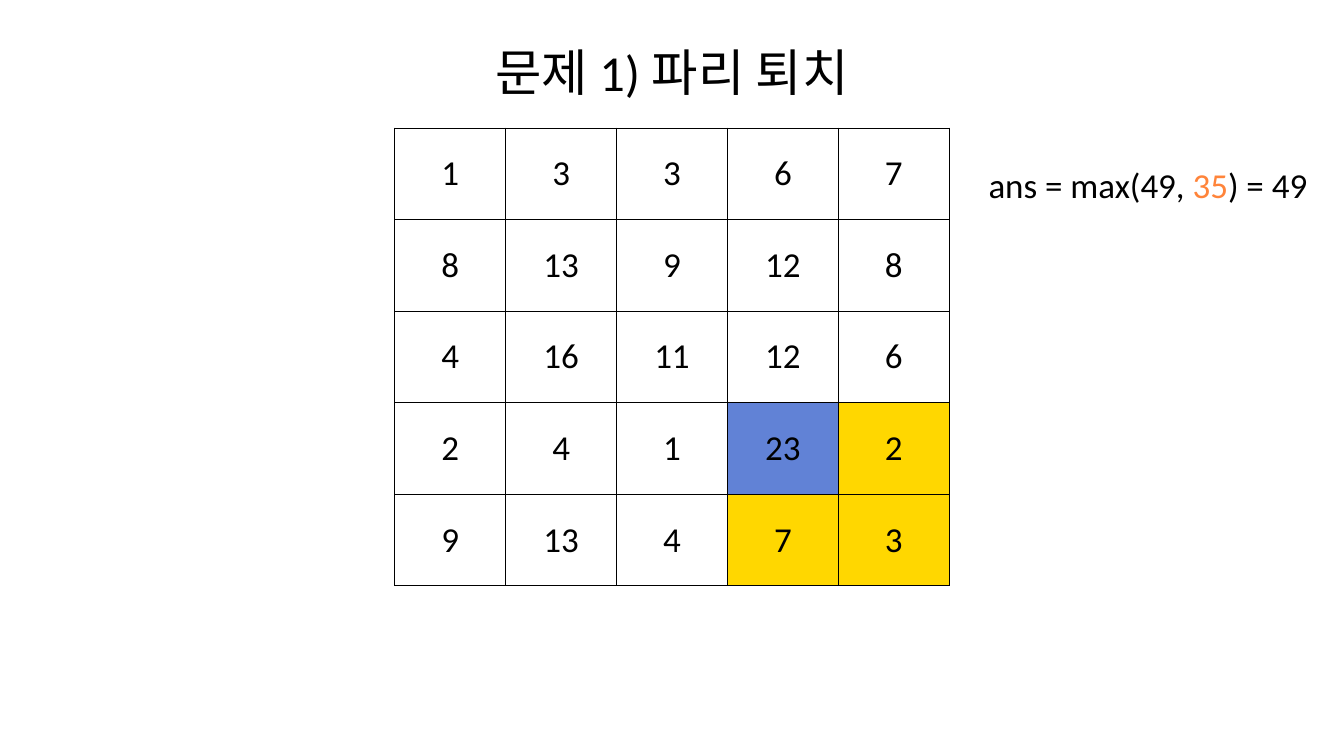
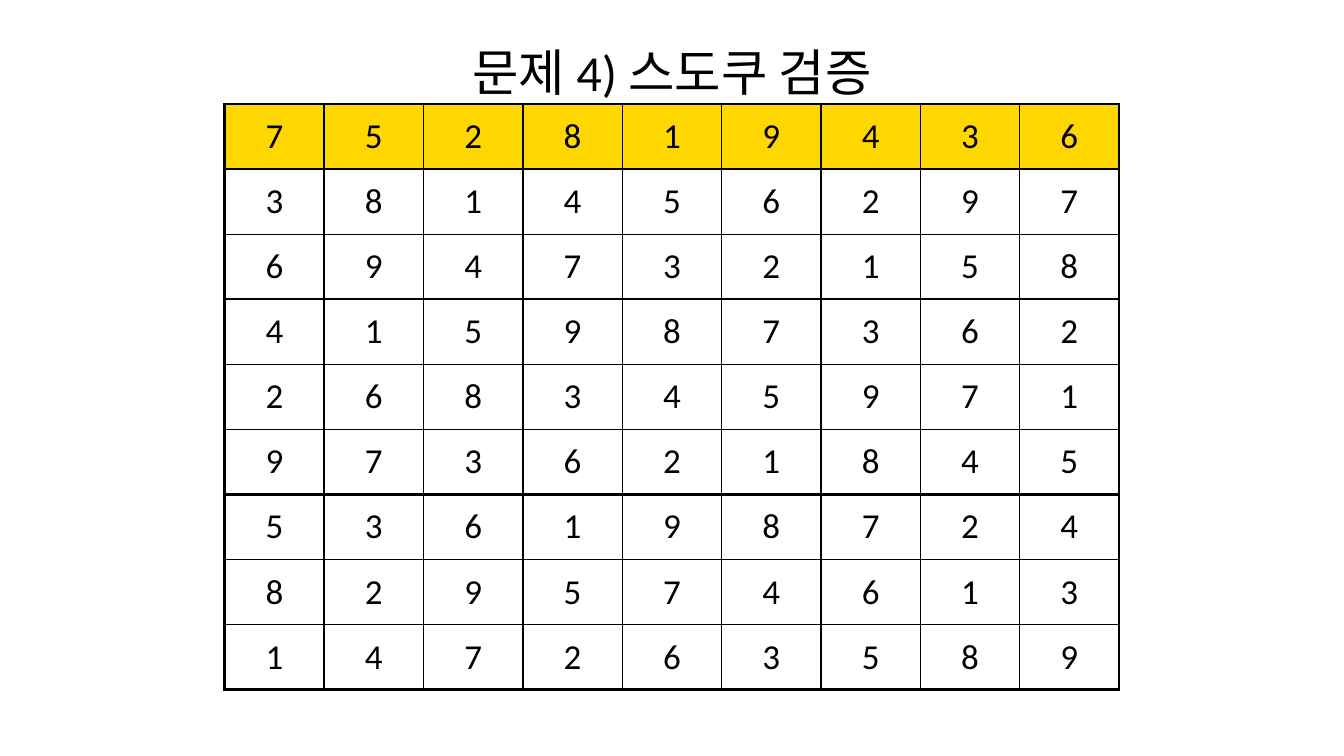
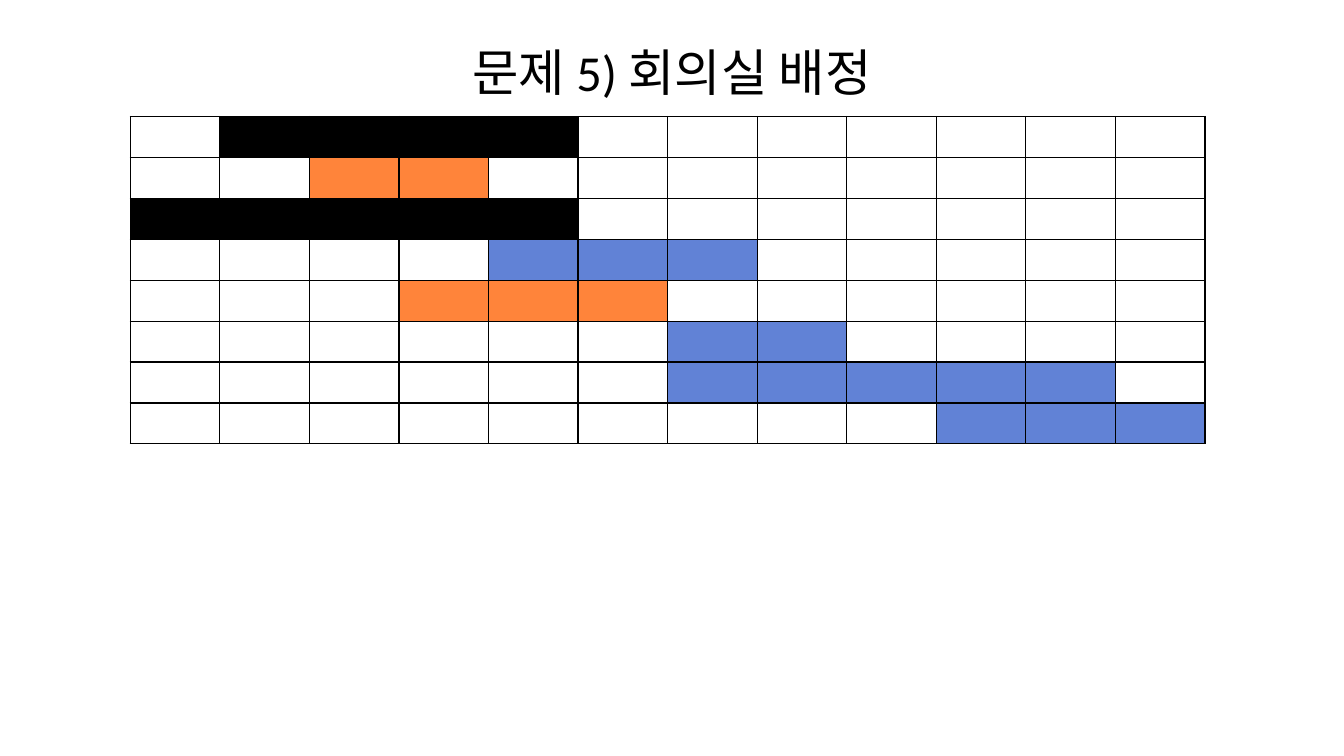
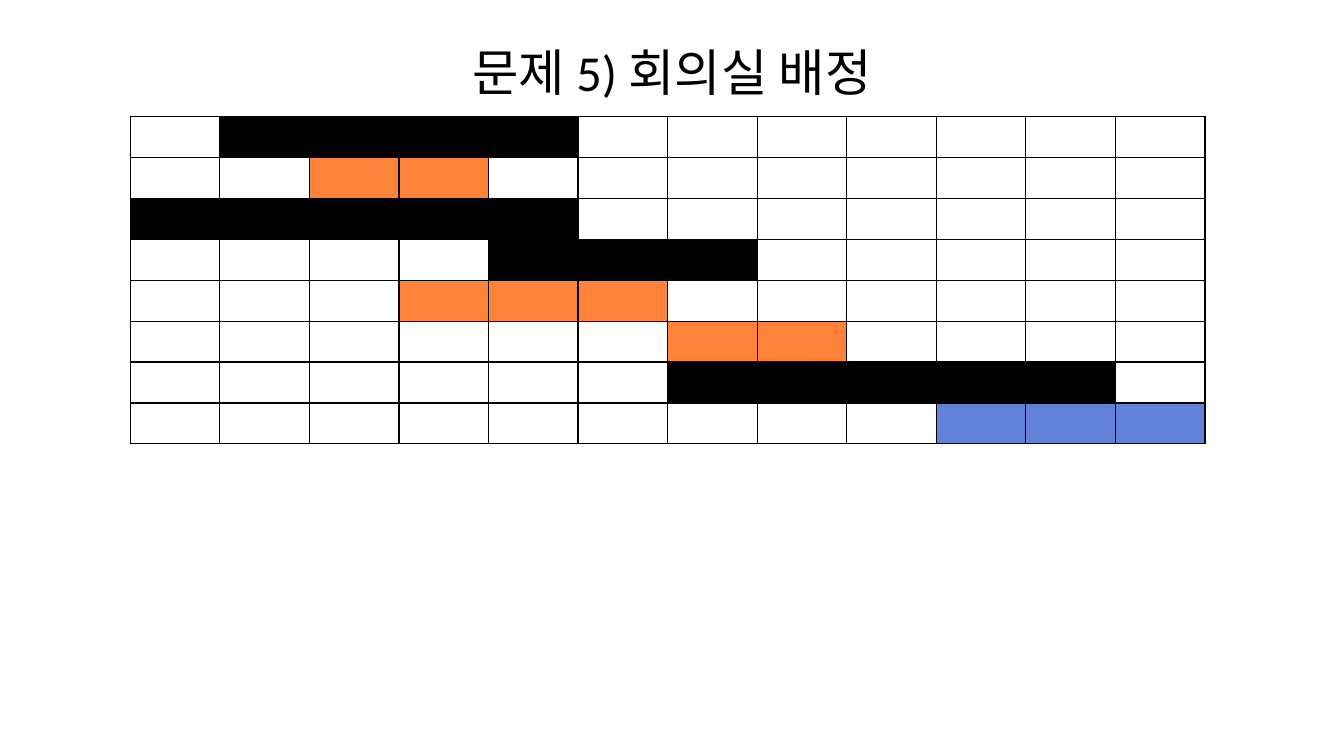
from lxml.etree import SubElement
from pptx import Presentation
from pptx.dml.color import RGBColor
from pptx.enum.text import MSO_ANCHOR as Anchor, MSO_AUTO_SIZE as AutoSize, PP_ALIGN as Align
from pptx.oxml.ns import qn
from pptx.util import Pt

PX = 9525
FONT = "Calibri"
TITLE_SIZE = 36
BODY_SIZE = 25
THIN, THICK = 1, 2
COLOURS = {
    "black": "000000",
    "blue": "6182D6",
    "gold": "FFD700",
    "orange": "FF843A",
}

FLY_COUNTS = [
    [1, 3, 3, 6, 7],
    [8, 13, 9, 12, 8],
    [4, 16, 11, 12, 6],
    [2, 4, 1, 23, 2],
    [9, 13, 4, 7, 3],
]
SUDOKU_ROWS = [
    "752819436", "381456297", "694732158",
    "415987362", "268345971", "973621845",
    "536198724", "829574613", "147263589",
]
HOURS = 12
MEETINGS = [(1, 5), (2, 4), (0, 5), (4, 7), (3, 6), (6, 8), (6, 11), (9, 12)]
SCHEDULE_STEPS = [
    ["black", "orange", "black", "blue", "orange", "blue", "blue", "blue"],
    ["black", "orange", "black", "black", "orange", "orange", "black", "blue"],
]


def px(*lengths):
    return [length * PX for length in lengths]


def rgb(name):
    return RGBColor.from_string(COLOURS[name])


def add_span(para, text, size, colour="black"):
    span = para.add_run()
    span.text = text
    span.font.name = FONT
    span.font.size = Pt(size)
    span.font.color.rgb = rgb(colour)


def add_page(deck, title_text):
    page = deck.slides.add_slide(deck.slide_layouts.get_by_name("Title Only"))
    title = page.shapes.title
    title.left, title.top, title.width, title.height = px(64, 38, 1152, 60)
    frame = title.text_frame
    frame.auto_size = AutoSize.NONE
    frame.vertical_anchor = Anchor.MIDDLE
    para = frame.paragraphs[0]
    para.alignment = Align.CENTER
    add_span(para, title_text, TITLE_SIZE)
    return page


def set_border(cell, side, weight):
    properties = cell._tc.get_or_add_tcPr()
    line = SubElement(properties, qn(f"a:ln{side}"), w=str(Pt(weight)))
    fill = SubElement(line, qn("a:solidFill"))
    SubElement(fill, qn("a:srgbClr"), val=COLOURS["black"])


def add_grid(page, area, rows, fills, block=None):
    """Add a ruled table; fills maps (row, column) to a colour name.

    With block given, every block-th rule is thick.
    """
    def weight(edge):
        return THICK if block and edge % block == 0 else THIN

    table = page.shapes.add_table(len(rows), len(rows[0]), *px(*area)).table
    table.first_row = table.horz_banding = False
    for r, values in enumerate(rows):
        for c, value in enumerate(values):
            cell = table.cell(r, c)
            for side, edge in (("L", c), ("R", c + 1), ("T", r), ("B", r + 1)):
                set_border(cell, side, weight(edge))
            if (r, c) in fills:
                cell.fill.solid()
                cell.fill.fore_color.rgb = rgb(fills[r, c])
            else:
                cell.fill.background()
            cell.vertical_anchor = Anchor.MIDDLE
            if value is not None:
                para = cell.text_frame.paragraphs[0]
                para.alignment = Align.CENTER
                add_span(para, str(value), BODY_SIZE)


def add_label(page, area, spans):
    """Add a text box from (text, colour) pairs."""
    frame = page.shapes.add_textbox(*px(*area)).text_frame
    frame.word_wrap = True
    frame.auto_size = AutoSize.SHAPE_TO_FIT_TEXT
    for text, colour in spans:
        add_span(frame.paragraphs[0], text, BODY_SIZE, colour)


def add_fly_page(deck):
    page = add_page(deck, "문제 1) 파리 퇴치")
    fills = {(r, c): "gold" for r in (3, 4) for c in (3, 4)}
    fills[3, 3] = "blue"
    add_grid(page, (376, 122, 528, 436), FLY_COUNTS, fills)
    add_label(page, (932, 151, 334, 49), [
        ("ans = max(49, ", "black"),
        ("35", "orange"),
        (") = 49", "black"),
    ])


def add_sudoku_page(deck):
    page = add_page(deck, "문제 4) 스도쿠 검증")
    fills = {(0, c): "gold" for c in range(9)}
    add_grid(page, (214, 99, 852, 558), SUDOKU_ROWS, fills, block=3)


def add_schedule_page(deck, meeting_colours):
    page = add_page(deck, "문제 5) 회의실 배정")
    fills = {
        (r, hour): colour
        for r, ((start, end), colour) in enumerate(zip(MEETINGS, meeting_colours))
        for hour in range(start, end)
    }
    empty_rows = [[None] * HOURS for _ in MEETINGS]
    add_grid(page, (124, 111, 1024, 312), empty_rows, fills)


def main():
    deck = Presentation()
    deck.slide_width, deck.slide_height = px(1280, 720)
    add_fly_page(deck)
    add_sudoku_page(deck)
    for meeting_colours in SCHEDULE_STEPS:
        add_schedule_page(deck, meeting_colours)
    deck.save("out.pptx")


if __name__ == "__main__":
    main()
